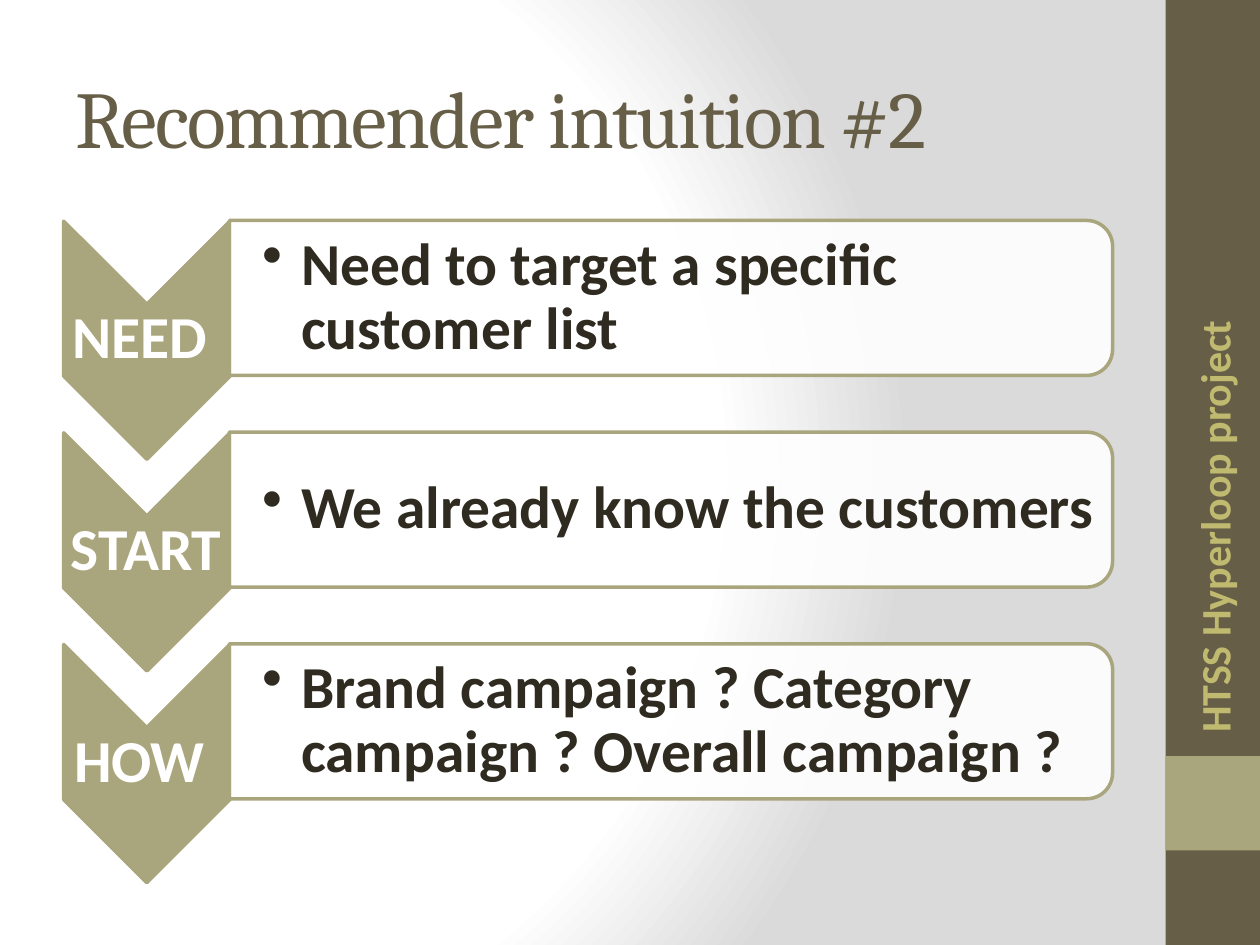
import pptx
import pptx.dml.color
import pptx.enum.shapes
import pptx.enum.text
import pptx.oxml
import pptx.oxml.ns
import pptx.util
from lxml import etree

Inches = pptx.util.Inches
Pt = pptx.util.Pt
SHAPE = pptx.enum.shapes.MSO_SHAPE
ALIGN = pptx.enum.text.PP_ALIGN
MIDDLE = pptx.enum.text.MSO_ANCHOR.MIDDLE
qn = pptx.oxml.ns.qn

BROWN, OLIVE, WHITE = "675E47", "A9A57C", "FFFFFF"
STEPS = [
    ("NEED ", "Need to target a specific customer list"),
    ("START", "We already know the customers "),
    ("HOW ", "Brand campaign ? Category campaign ? Overall campaign ?"),
]


def add_block(page, kind, place, fill, line=None, rotation=0):
    """Add a filled preset shape at place (left, top, width, height)."""
    block = page.shapes.add_shape(kind, *map(Inches, place))
    block.shadow.inherit = False
    block.rotation = rotation
    block.fill.solid()
    block.fill.fore_color.rgb = pptx.dml.color.RGBColor.from_string(fill)
    if line:
        block.line.color.rgb = pptx.dml.color.RGBColor.from_string(line)
        block.line.width = Pt(2)
    else:
        block.line.fill.background()
    return block


def write(box, place, text, size, color, font="Calibri", bold=True):
    """Place a text holder, write one paragraph in it and return that."""
    box.left, box.top, box.width, box.height = map(Inches, place)
    frame = box.text_frame
    frame.word_wrap = True
    frame.text = text
    para = frame.paragraphs[0]
    span = para.runs[0]
    span.font.name = font
    span.font.size = Pt(size)
    span.font.bold = bold
    span.font.color.rgb = pptx.dml.color.RGBColor.from_string(color)
    return para


deck = pptx.Presentation()
deck.slide_width, deck.slide_height = Inches(10), Inches(7.5)
page = deck.slides.add_slide(deck.slide_layouts[5])

# Radial background
stops = "".join(
    f'<a:gs pos="{position}"><a:srgbClr val="{color}"/></a:gs>'
    for position, color in [(0, WHITE), (75000, WHITE), (100000, "DADADA")]
)
page.element.cSld.insert(0, pptx.oxml.parse_xml(
    f'<p:bg {pptx.oxml.ns.nsdecls("p", "a")}><p:bgPr><a:gradFill rotWithShape="1">'
    f'<a:gsLst>{stops}</a:gsLst><a:path path="circle">'
    '<a:fillToRect l="20000" t="50000" r="100000" b="50000"/></a:path>'
    '</a:gradFill><a:effectLst/></p:bgPr></p:bg>'
))

# Side band
add_block(page, SHAPE.RECTANGLE, (9.25, 0, 0.75, 7.5), BROWN)
add_block(page, SHAPE.RECTANGLE, (9.25, 6, 0.75, 0.75), OLIVE)
side_label = page.shapes.add_textbox(0, 0, 0, 0)
side_label.rotation = 270
write(side_label, (7.8, 3.83, 3.67, 0.5), "HTSS Hyperloop project", 24, "C0BA71")

# Title
title = page.shapes.title
para = write(title, (0.5, 0.3, 8.33, 1.25), "Recommender intuition #2", 46, BROWN,
             "Cambria", False)
para.alignment = ALIGN.LEFT
para.runs[0].font._element.set("spc", "-100")
title.text_frame.vertical_anchor = MIDDLE

# Three steps, each a downward chevron and a rounded panel
for index, (name, detail) in enumerate(STEPS):
    shift = index * 1.68
    add_block(page, SHAPE.CHEVRON, (0.22, 2.04 + shift, 1.89, 1.32), OLIVE, OLIVE, 90)
    panel = add_block(page, SHAPE.ROUND_2_SAME_RECTANGLE,
                      (4.71, -1.14 + shift, 1.23, 7.01), WHITE, OLIVE, 90)
    color = panel.fill._xPr.find(qn("a:solidFill"))[0]
    etree.SubElement(color, qn("a:alpha")).set("val", "90000")

    name_box = page.shapes.add_textbox(0, 0, 0, 0)
    name_para = write(name_box, (0.5, 2.41 + shift, 1.32, 0.57), name, 34, WHITE)
    name_para.alignment = ALIGN.CENTER
    detail_box = page.shapes.add_textbox(0, 0, 0, 0)
    detail_para = write(detail_box, (1.82, 1.81 + shift, 6.95, 1.11), detail, 34, "2F2B20")
    for box, para, inset in [(name_box, name_para, 0.02), (detail_box, detail_para, 0.26)]:
        frame = box.text_frame
        frame.vertical_anchor = MIDDLE
        frame.margin_left = Inches(inset)
        frame.margin_top = frame.margin_right = frame.margin_bottom = Inches(0.02)
        para.line_spacing = 0.9

    detail_para.level = 1
    properties = detail_para._p.get_or_add_pPr()
    properties.set("marL", str(Inches(0.31)))
    properties.set("indent", str(Inches(-0.31)))
    etree.SubElement(properties, qn("a:buChar")).set("char", "•")

deck.save("out.pptx")
